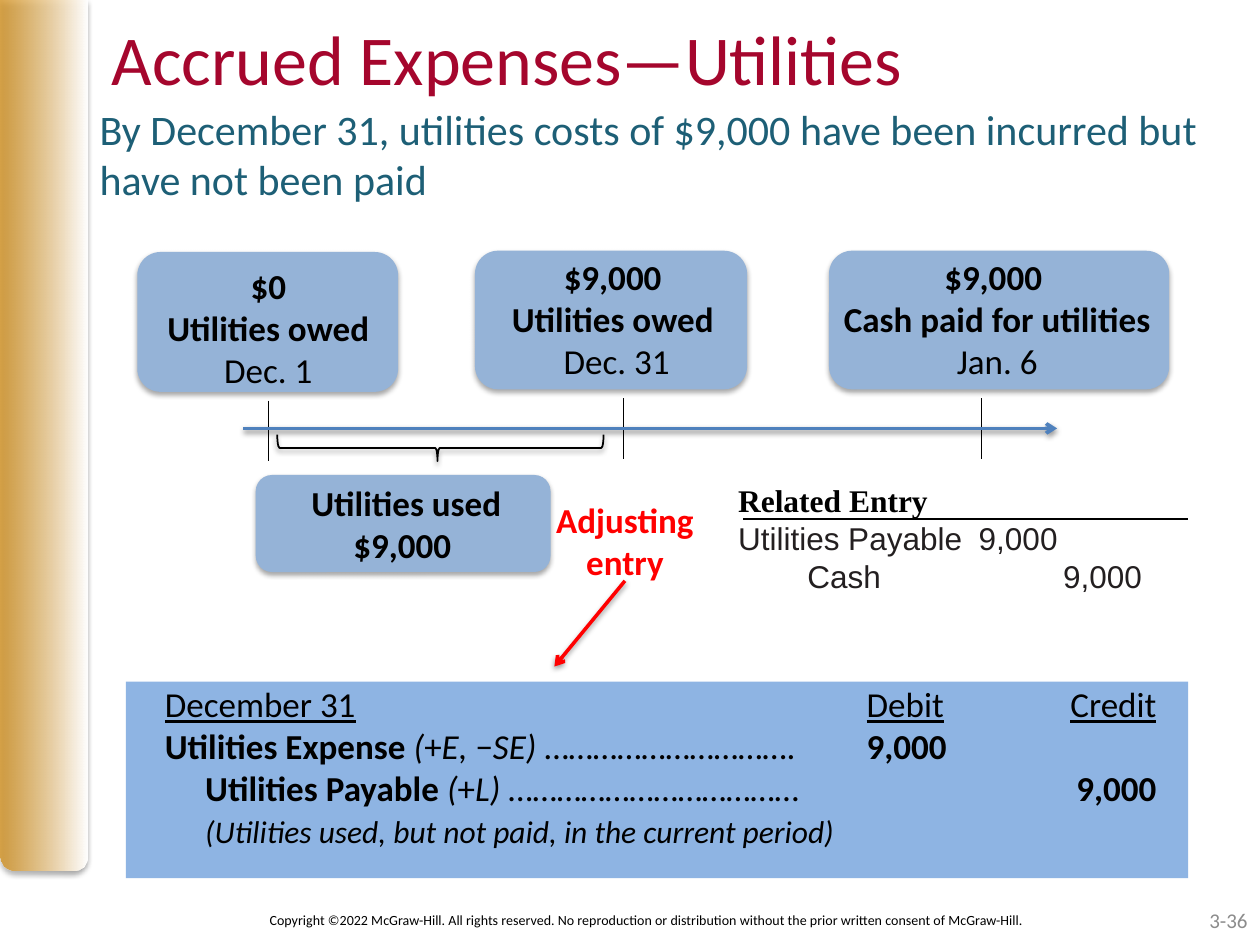
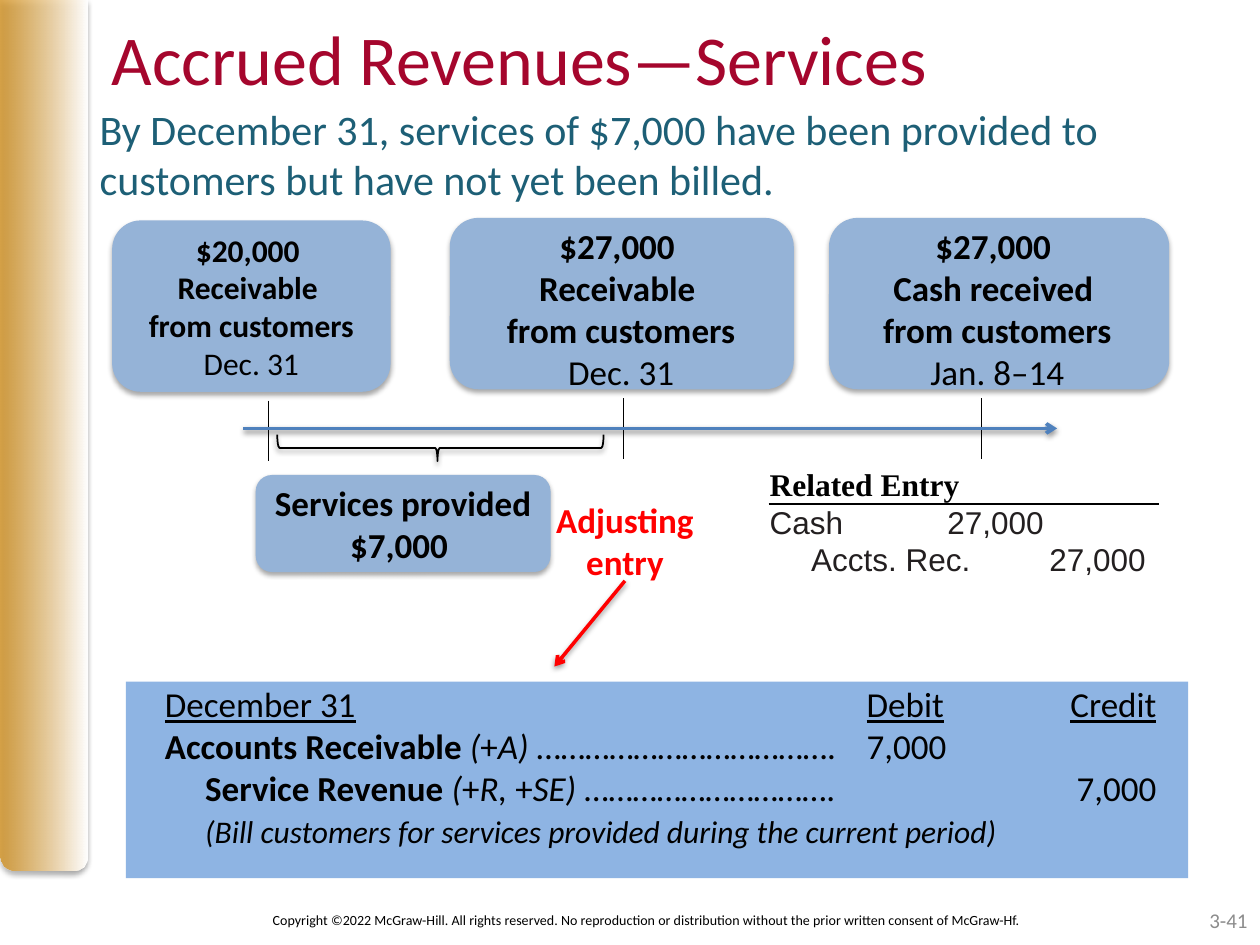
import itertools

import pptx
import pptx.dml.color
import pptx.enum.dml
import pptx.enum.shapes
import pptx.enum.text
import pptx.oxml
import pptx.oxml.ns
import pptx.util
from lxml import etree

Inches, Pt = pptx.util.Inches, pptx.util.Pt
SHAPE = pptx.enum.shapes.MSO_SHAPE
ALIGN = pptx.enum.text.PP_ALIGN
ANCHOR = pptx.enum.text.MSO_ANCHOR
qn = pptx.oxml.ns.qn

COLORS = {
    "gold": "D49323", "white": "FFFFFF", "black": "000000", "title": "A5062D",
    "lead": "1D5F76", "card": "95B3D7", "ledger": "8EB4E3", "arrow": "4F81BD",
    "alert": "FF0000", "entry": "231F20", "number": "8C8C8C",
}
BAND = (0, 0, 0.69, 6.91)
TITLE = (0.79, 0.15, 9, 0.72)
LEAD = (0.79, 0.82, 9.19, 1.32)
COPYRIGHT = (1.56, 7.1, 7.15, 0.4)
NUMBER = (7.67, 7.1, 2.33, 0.4)
TIMELINE = (1.93, 3.16, 6.46, 0.5)
USED = (2.03, 3.77, 2.34, 0.77)
ADJUSTING = (4.28, 3.91, 1.36, 0.77)
LEDGER = (1, 5.41, 8.43, 1.56)


def color(name):
    return pptx.dml.color.RGBColor.from_string(COLORS[name])


def style_run(run, size, tone="black", marks="", font="Calibri"):
    """Marks may hold b, i and u for bold, italic and underline."""
    run.font.size, run.font.name = Pt(size), font
    run.font.color.rgb = color(tone)
    run.font.bold, run.font.italic = "b" in marks, "i" in marks
    run.font.underline = "u" in marks


def text_box(page, box, anchor=ANCHOR.TOP, inset=None):
    frame = page.shapes.add_textbox(*map(Inches, box)).text_frame
    frame.word_wrap = True
    frame.vertical_anchor = anchor
    if inset is not None:
        frame.margin_left = frame.margin_right = Inches(inset)
        frame.margin_top = frame.margin_bottom = Inches(inset)
    return frame


def write_line(page, box, text, size, tone, align=ALIGN.LEFT, marks="", **frame_options):
    frame = text_box(page, box, **frame_options)
    frame.text = text
    para = frame.paragraphs[0]
    para.alignment = align
    style_run(para.runs[0], size, tone, marks)
    return para


def write_rows(frame, rows):
    """Each row is a list of spans: the text, then the arguments of style_run."""
    paras = [frame.paragraphs[0]] + [frame.add_paragraph() for _ in rows[1:]]
    for para, spans in zip(paras, rows):
        for text, *style in spans:
            run = para.add_run()
            run.text = text
            style_run(run, *style)
    return paras


def set_tabs(para, stops):
    tab_list = etree.SubElement(para._p.get_or_add_pPr(), qn("a:tabLst"))
    for position, side in stops:
        etree.SubElement(tab_list, qn("a:tab"), pos=str(Inches(position)), algn=side)


def set_shadow(item, blur=3.1, distance=1.8, opacity=35):
    effects = item._element.spPr.find(qn("a:effectLst"))
    shadow = etree.SubElement(
        effects, qn("a:outerShdw"), blurRad=str(Pt(blur)), dist=str(Pt(distance)),
        dir="5400000", rotWithShape="0")
    tint = etree.SubElement(shadow, qn("a:srgbClr"), val=COLORS["black"])
    etree.SubElement(tint, qn("a:alpha"), val=str(opacity * 1000))


def set_thin_shadow(item):
    set_shadow(item, distance=1.6, opacity=38)


def add_block(page, kind, box, fill=None):
    shape = page.shapes.add_shape(kind, *map(Inches, box))
    shape.shadow.inherit = False
    shape.line.fill.background()
    if fill:
        shape.fill.solid()
        shape.fill.fore_color.rgb = color(fill)
    return shape


def add_line(page, start, end, tone="black", width=0.75, arrow=False):
    line = page.shapes.add_connector(
        pptx.enum.shapes.MSO_CONNECTOR.STRAIGHT, *map(Inches, (*start, *end)))
    line.line.color.rgb = color(tone)
    line.line.width = Pt(width)
    properties = line._element.spPr
    etree.SubElement(properties, qn("a:effectLst"))
    if arrow:
        etree.SubElement(properties.find(qn("a:ln")), qn("a:tailEnd"), type="arrow")
        set_thin_shadow(line)
    return line


def add_frame(page, title, lead, copyright_line, number):
    """The gold band, the heading and the footer."""
    band = add_block(page, SHAPE.ROUND_2_SAME_RECTANGLE, BAND)
    band.adjustments[0], band.adjustments[1] = 0, 0.17
    band.fill.gradient()
    band.fill.gradient_angle = 0
    for stop, tone, place in zip(band.fill.gradient_stops, ("gold", "white"), (0, 1)):
        stop.color.rgb = color(tone)
        stop.position = place
    gold = next(band._element.spPr.iter(qn("a:srgbClr")))
    etree.SubElement(gold, qn("a:alpha"), val="80000")
    set_shadow(band)

    write_line(page, TITLE, title, 40, "title").line_spacing = 0.9
    write_line(page, LEAD, lead, 24, "lead", inset=0)
    write_line(page, COPYRIGHT, copyright_line, 8, "black", ALIGN.CENTER,
               anchor=ANCHOR.MIDDLE)
    write_line(page, NUMBER, number, 12, "number", ALIGN.RIGHT, anchor=ANCHOR.MIDDLE)


def add_card(page, box, label_box, lines, date=None, size=20):
    """Without a label box the text sits in the middle of the card itself."""
    card = add_block(page, SHAPE.ROUNDED_RECTANGLE, box, "card")
    set_shadow(card)
    if label_box:
        frame = text_box(page, label_box)
    else:
        frame = card.text_frame
        frame.vertical_anchor = ANCHOR.MIDDLE
    rows = [[(line, size, "black", "b")] for line in lines]
    if date:
        rows.append([(date, size)])
    for para in write_rows(frame, rows):
        para.alignment = ALIGN.CENTER


def add_timeline(page, box):
    left, top, width, height = box
    for offset, drop in ((0.2, 0.02), (3.02, 0), (5.86, 0)):
        tick = left + offset
        add_line(page, (tick, top + drop), (tick, top + drop + height - 0.02))
    axis = top + 0.24
    add_line(page, (left, axis), (left + width, axis), "arrow", 2, arrow=True)

    brace = add_block(page, SHAPE.RIGHT_BRACE, (left + 1.46, top - 0.9, 0.21, 2.59))
    brace.rotation = 90
    brace.adjustments[0], brace.adjustments[1] = 0.083, 0.509
    brace.fill.background()
    brace.line.color.rgb = color("black")
    brace.line.width = Pt(1)
    set_thin_shadow(brace)


def add_adjusting_note(page, box):
    left, top, width, height = box
    write_line(page, box, "Adjusting entry", 20, "alert", ALIGN.CENTER, "b")
    start = left + width / 2
    add_line(page, (start, top + 0.7), (start - 0.56, top + 1.38), "alert", 2, arrow=True)


def add_related_entry(page, box, rule, lines, stops):
    """Rule gives the start, height and length of the line, from the box corner."""
    left, top = box[:2]
    start, drop, length = rule
    rows = [[("Related Entry", 18, "black", "b", "Times New Roman")]]
    rows += [[(line, 18, "entry", "", "Arial")] for line in lines]
    for para in write_rows(text_box(page, box), rows)[1:]:
        set_tabs(para, [(stop, "l") for stop in stops])
    add_line(page, (left + start, top + drop), (left + start + length, top + drop))


def account_spans(account, effect, dots):
    """The account in bold and its effect in italics with upright signs."""
    spans = [(account + " ", 20, "black", "b")]
    for is_sign, letters in itertools.groupby(f"({effect}) ", lambda letter: letter in "+−"):
        spans.append(("".join(letters), 20, "black", "" if is_sign else "i"))
    return spans + [(dots, 20)]


def add_ledger(page, box, debit, credit, amount, reason, amount_marks):
    left, top, width, height = box
    add_block(page, SHAPE.RECTANGLE, box, "ledger")
    tab = ("\t", 20)
    value = (amount, 20, "black", amount_marks)
    heads = [(head, 20, "black", "u") for head in ("December 31", "Debit", "Credit")]
    rows = [
        [heads[0], tab, heads[1], tab, heads[2]],
        account_spans(*debit) + [tab, value],
        [tab] + account_spans(*credit) + [tab, tab, value],
        [tab, (reason, 18, "black", "i")],
    ]
    frame = text_box(page, (left + 0.21, top - 0.04, width - 0.08, height - 0.11))
    for para in write_rows(frame, rows):
        set_tabs(para, [(0.32, "l"), (5.57, "l"), (7.87, "r")])


SLIDES = [
    {
        "frame": (
            "Accrued Expenses—Utilities",
            "By December 31, utilities costs of $9,000 have been incurred but "
            "have not been paid",
            "Copyright ©2022 McGraw-Hill. All rights reserved. No reproduction or "
            "distribution without the prior written consent of McGraw-Hill.",
            "3-36"),
        "cards": [
            ((1.09, 2, 2.07, 1.11), (1.18, 2.05, 1.9, 1.45),
             ["$0", "Utilities owed"], "Dec. 1"),
            ((3.77, 1.99, 2.16, 1.1), (3.86, 1.98, 2.07, 1.11),
             ["$9,000 ", "Utilities owed "], "Dec. 31"),
            ((6.58, 1.99, 2.7, 1.1), (6.55, 1.98, 2.73, 1.11),
             ["$9,000 ", "Cash paid for utilities"], "Jan. 6"),
            (USED, (2.21, 3.77, 2.03, 0.77), ["Utilities used", "$9,000 "]),
        ],
        "related": (
            (5.76, 3.77, 3.8, 1.01), (0.14, 0.35, 3.53),
            ["Utilities Payable\t9,000", "\tCash\t\t9,000"], (0.55, 1.91, 2.58)),
        "ledger": (
            ("Utilities Expense", "+E, −SE", "…………………………."),
            ("Utilities Payable", "+L", "………………………………"),
            "9,000", "(Utilities used, but not paid, in the current period)", "b"),
    },
    {
        "frame": (
            "Accrued Revenues—Services",
            "By December 31, services of $7,000 have been provided to customers "
            "but have not yet been billed.",
            "Copyright ©2022 McGraw-Hill. All rights reserved. No reproduction or "
            "distribution without the prior written consent of McGraw-Hf.",
            "3-41"),
        "cards": [
            ((0.89, 1.75, 2.21, 1.36), None,
             ["$20,000 ", "Receivable ", "from customers"], "Dec. 31", 18),
            ((3.57, 1.73, 2.73, 1.36), (3.53, 1.73, 2.8, 1.45),
             ["$27,000 ", "Receivable ", "from customers"], "Dec. 31"),
            ((6.58, 1.73, 2.7, 1.36), (6.55, 1.73, 2.73, 1.45),
             ["$27,000 ", "Cash received ", "from customers"], "Jan. 8–14"),
            (USED, USED, ["Services provided", "$7,000 "]),
        ],
        "related": (
            (6.01, 3.64, 3.42, 1.01), (0.09, 0.36, 3.1),
            ["Cash\t27,000", "\tAccts. Rec.\t27,000"], (0.33, 1.41, 2.22)),
        "ledger": (
            ("Accounts Receivable", "+A", "………………………………."),
            ("Service Revenue", "+R, +SE", "…………………………."),
            "7,000", "(Bill customers for services provided during the current period)", ""),
    },
]


def add_accrual_slide(deck, content):
    page = deck.slides.add_slide(deck.slide_layouts[6])
    add_frame(page, *content["frame"])
    for card in content["cards"]:
        add_card(page, *card)
    add_timeline(page, TIMELINE)
    add_adjusting_note(page, ADJUSTING)
    add_related_entry(page, *content["related"])
    add_ledger(page, LEDGER, *content["ledger"])


def main():
    deck = pptx.Presentation()
    deck.slide_width, deck.slide_height = Inches(10), Inches(7.5)
    for content in SLIDES:
        add_accrual_slide(deck, content)
    deck.save("out.pptx")


if __name__ == "__main__":
    main()
